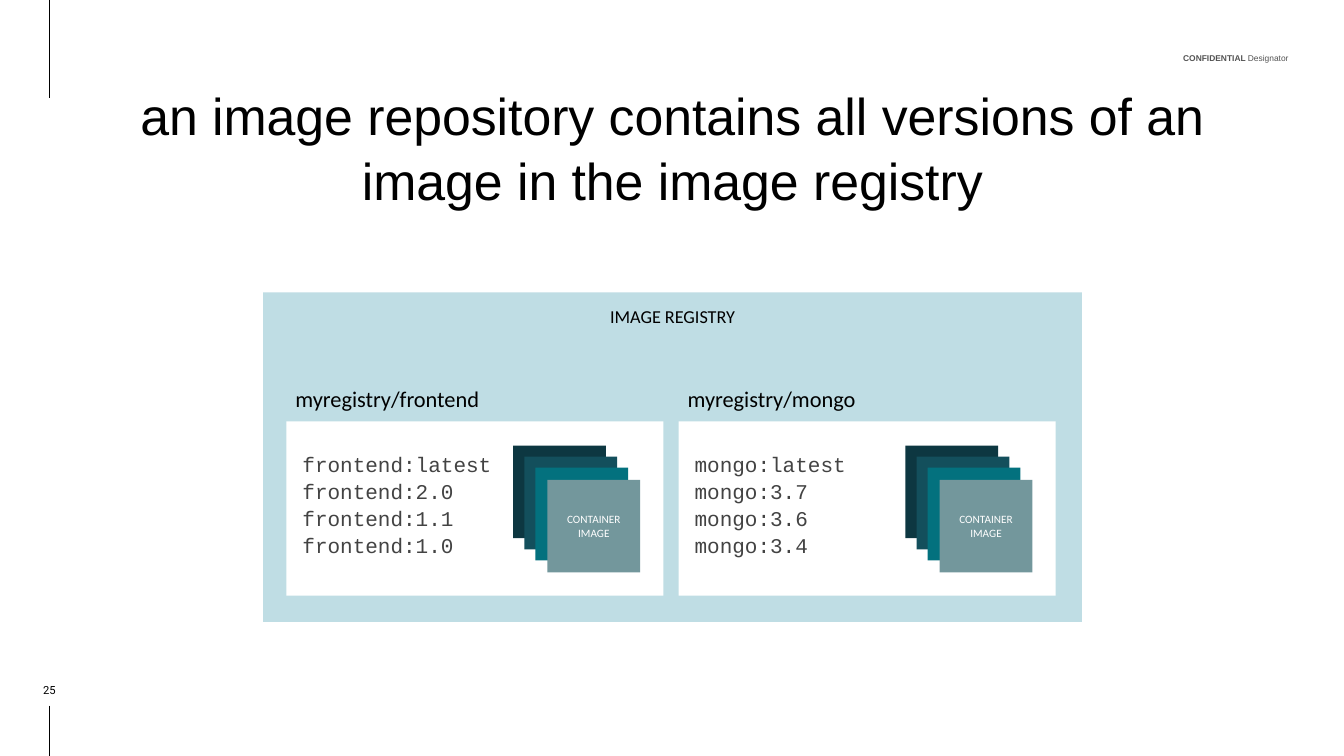
from pptx import Presentation
from pptx.dml.color import RGBColor
from pptx.enum.shapes import MSO_CONNECTOR, MSO_SHAPE
from pptx.enum.text import MSO_ANCHOR, PP_ALIGN
from pptx.oxml.ns import qn
from pptx.util import Pt
from lxml import etree

PX = 9144
RECT = MSO_SHAPE.RECTANGLE
LINE = MSO_CONNECTOR.STRAIGHT
TOP, MID, LOW = MSO_ANCHOR.TOP, MSO_ANCHOR.MIDDLE, MSO_ANCHOR.BOTTOM
LEFT, MEAN, RIGHT = PP_ALIGN.LEFT, PP_ALIGN.CENTER, PP_ALIGN.RIGHT

HEAD = {"name": "Arial", "size": Pt(37), "color": "000000"}
MARK = {"name": "Arial", "size": Pt(6), "color": "535353"}
BAND = {"name": "Calibri", "size": Pt(13), "color": "000000"}
LABEL = {"name": "Calibri", "size": Pt(16), "color": "000000"}
CODE = {"name": "Courier New", "size": Pt(15), "color": "434343"}
TILE = {"name": "Calibri", "size": Pt(8), "color": "FFFFFF"}
PAGE = {"name": "Roboto", "size": Pt(8), "color": "000000"}

SHADES = ["0D3741", "134F5C", "03717E", "73979C"]
REPOS = [
    ("frontend", ["latest", "2.0", "1.1", "1.0"]),
    ("mongo", ["latest", "3.7", "3.6", "3.4"]),
]


def color(code):
    return RGBColor.from_string(code)


def scale(*vals):
    return [val * PX for val in vals]


def style(font, look):
    for key, val in look.items():
        if key == "color":
            font.color.rgb = color(val)
        else:
            setattr(font, key, val)


def write(shape, lines, look, align=LEFT, anchor=TOP, inset=13, space=None):
    frame = shape.text_frame
    frame.word_wrap = True
    frame.vertical_anchor = anchor
    for side in ("left", "top", "right", "bottom"):
        setattr(frame, f"margin_{side}", inset * PX)
    for num, line in enumerate(lines):
        para = frame.add_paragraph() if num else frame.paragraphs[0]
        para.alignment = align
        if space:
            para.line_spacing = space
        for text, extra in [(line, {})] if isinstance(line, str) else line:
            run = para.add_run()
            run.text = text
            style(run.font, {**look, **extra})


def text(slide, spot, lines, look, **opts):
    write(slide.shapes.add_textbox(*scale(*spot)), lines, look, **opts)


def block(home, spot, fill):
    shape = home.shapes.add_shape(RECT, *scale(*spot))
    shape.shadow.inherit = False
    shape.fill.solid()
    shape.fill.fore_color.rgb = color(fill)
    shape.line.fill.background()
    return shape


def rule(slide, top, end):
    line = slide.shapes.add_connector(LINE, *scale(49, top, 49, end))
    line.line.color.rgb = color("000000")
    line.line.width = Pt(0.75)
    etree.SubElement(line._element.spPr, qn("a:effectLst"))


def stack(slide, left, top):
    group = slide.shapes.add_group_shape()
    for num, shade in enumerate(SHADES):
        step = round(num * 11.2)
        tile = block(group, (left + step, top + step, 92, 92), shade)
    write(tile, ["CONTAINER", "IMAGE"], TILE, align=MEAN, anchor=MID)


def repo(slide, left, name, tags):
    block(slide, (left, 418, 374, 173), "FFFFFF")
    lines = [f"{name}:{tag}" for tag in tags]
    text(slide, (left + 3, 433, 276, 149), lines, CODE, space=1.07)
    stack(slide, left + 225, 442)
    text(slide, (left - 4, 369, 304, 37), [f"myregistry/{name}"], LABEL)


def main():
    deck = Presentation()
    deck.slide_width, deck.slide_height = scale(1333, 750)
    slide = deck.slides.add_slide(deck.slide_layouts[6])
    rule(slide, 0, 97)
    rule(slide, 700, 750)
    mark = [("CONFIDENTIAL ", {"bold": True}), ("Designator", {})]
    text(slide, (1101, 30, 177, 33), [mark], MARK,
         align=RIGHT, anchor=LOW, inset=0, space=1.5)
    title = "an image repository contains all versions of an image in the image registry"
    text(slide, (121, 67, 1092, 155), [title], HEAD,
         align=MEAN, anchor=LOW, space=1.04)
    band = block(slide, (261, 290, 812, 327), "BFDDE4")
    write(band, ["IMAGE REGISTRY"], BAND, align=MEAN)
    for num, (name, tags) in enumerate(REPOS):
        repo(slide, 284 + num * 389, name, tags)
    text(slide, (9, 675, 80, 16), ["25"], PAGE,
         align=MEAN, anchor=LOW, inset=0)
    deck.save("out.pptx")


if __name__ == "__main__":
    main()
